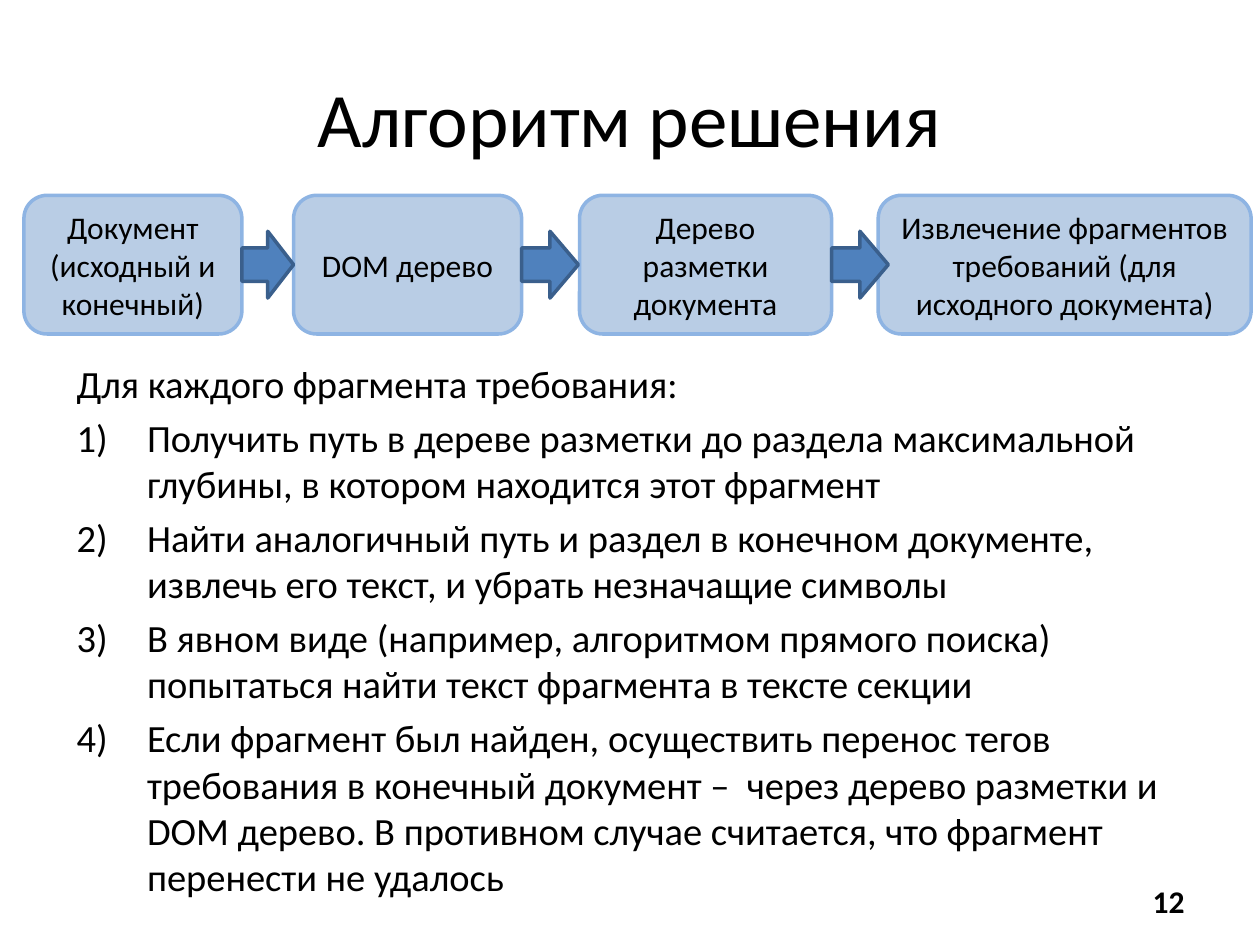
import dataclasses
import typing

import pptx
import pptx.dml.color
import pptx.enum.shapes
import pptx.enum.text
import pptx.oxml
import pptx.util

SHAPE = pptx.enum.shapes.MSO_SHAPE
ALIGN = pptx.enum.text.PP_ALIGN
ANCHOR = pptx.enum.text.MSO_ANCHOR

# The slide is a grid of 100 columns by 100 rows.
COLUMN = pptx.util.Inches(10) / 100
ROW = pptx.util.Inches(7.5) / 100
STAGE_TOP, STAGE_HEIGHT, ARROW_HEIGHT = 20.67, 14.67, 7.07
STEP_INDENT = pptx.util.Inches(0.56)


@dataclasses.dataclass(frozen=True)
class Stage:
    """One box of the flow, with the width of the arrow that leaves it."""
    text: str
    left: float
    width: float
    arrow_width: float = 0


STAGES = [
    Stage("Документ (исходный и конечный)", 1.9, 17.3, 4.1),
    Stage("DOM дерево", 23.3, 18.1, 4.5),
    Stage("Дерево разметки документа", 46, 20, 4.5),
    Stage("Извлечение фрагментов требований (для исходного документа)", 69.7, 29.6),
]
INTRO = "Для каждого фрагмента требования:"
STEPS = [
    "Получить путь в дереве разметки до раздела максимальной глубины, "
    "в котором находится этот фрагмент",
    "Найти аналогичный путь и раздел в конечном документе, извлечь его текст, "
    "и убрать незначащие символы",
    "В явном виде (например, алгоритмом прямого поиска) попытаться найти "
    "текст фрагмента в тексте секции",
    "Если фрагмент был найден, осуществить перенос тегов требования в конечный "
    "документ –  через дерево разметки и DOM дерево. В противном случае "
    "считается, что фрагмент перенести не удалось",
]


def color(value: str) -> pptx.dml.color.RGBColor:
    """Turn a hex string into a colour."""
    return pptx.dml.color.RGBColor.from_string(value)


def apply(target: typing.Any, values: dict[str, typing.Any]) -> None:
    """Set every attribute named in a dict of format values."""
    for name, value in values.items():
        setattr(target, name, value)


def area(left: float, top: float, width: float, height: float) -> dict[str, int]:
    """Turn columns and rows into a position and size."""
    return {"left": round(left * COLUMN), "top": round(top * ROW),
            "width": round(width * COLUMN), "height": round(height * ROW)}


def write(box: typing.Any, lines: list[str], size: float, align: ALIGN,
          anchor: ANCHOR = ANCHOR.MIDDLE, bold: bool = False,
          space: float = 0) -> None:
    """Write each line as a paragraph of the box."""
    frame = box.text_frame
    apply(frame, {"word_wrap": True, "vertical_anchor": anchor,
                  "auto_size": pptx.enum.text.MSO_AUTO_SIZE.NONE})
    for index, line in enumerate(lines):
        para = frame.add_paragraph() if index else frame.paragraphs[0]
        apply(para, {"alignment": align, "space_before": pptx.util.Pt(space)})
        span = para.add_run()
        span.text = line
        apply(span.font, {"name": "Calibri", "size": pptx.util.Pt(size), "bold": bold})
        span.font.color.rgb = color("000000")


def number(para: typing.Any) -> None:
    """Give a paragraph a hanging number such as 1)."""
    properties = para._p.get_or_add_pPr()
    properties.set("marL", str(STEP_INDENT))
    properties.set("indent", str(-STEP_INDENT))
    namespace = "http://schemas.openxmlformats.org/drawingml/2006/main"
    properties.append(pptx.oxml.parse_xml(
        f'<a:buAutoNum xmlns:a="{namespace}" type="arabicParenR"/>'))


def add_shape(page: typing.Any, kind: SHAPE, place: dict[str, int],
              fill: str, line: str) -> typing.Any:
    """Draw a filled, outlined preset shape."""
    shape = page.shapes.add_shape(kind, **place)
    shape.shadow.inherit = False
    shape.fill.solid()
    shape.fill.fore_color.rgb = color(fill)
    shape.line.color.rgb = color(line)
    shape.line.width = pptx.util.Pt(2)
    return shape


def add_flow(page: typing.Any) -> None:
    """Draw the stages, then the arrows on top of them."""
    for stage in STAGES:
        place = area(stage.left, STAGE_TOP, stage.width, STAGE_HEIGHT)
        box = add_shape(page, SHAPE.ROUNDED_RECTANGLE, place, "B9CDE5", "8EB4E3")
        write(box, [stage.text], 18, ALIGN.CENTER)
    arrow_top = STAGE_TOP + (STAGE_HEIGHT - ARROW_HEIGHT) / 2
    for stage in STAGES[:-1]:
        place = area(stage.left + stage.width, arrow_top, stage.arrow_width, ARROW_HEIGHT)
        add_shape(page, SHAPE.RIGHT_ARROW, place, "4F81BD", "3A5F8C")


def main() -> None:
    """Build and save the slide."""
    deck = pptx.Presentation()
    apply(deck, {"slide_width": round(100 * COLUMN), "slide_height": round(100 * ROW)})
    page = deck.slides.add_slide(deck.slide_layouts[5])

    title = page.shapes.title
    apply(title, area(5, 4, 90, 16.67))
    write(title, ["Алгоритм решения"], 44, ALIGN.CENTER)

    body = page.shapes.add_textbox(**area(5.1, 37.47, 90, 60.93))
    write(body, [INTRO, *STEPS], 22, ALIGN.LEFT, ANCHOR.TOP, space=4.4)
    for para in body.text_frame.paragraphs[1:]:
        number(para)

    page_number = page.shapes.add_textbox(**area(71.7, 92.67, 23.3, 5.33))
    write(page_number, ["12"], 18, ALIGN.RIGHT, bold=True)

    add_flow(page)
    deck.save("out.pptx")


main()
